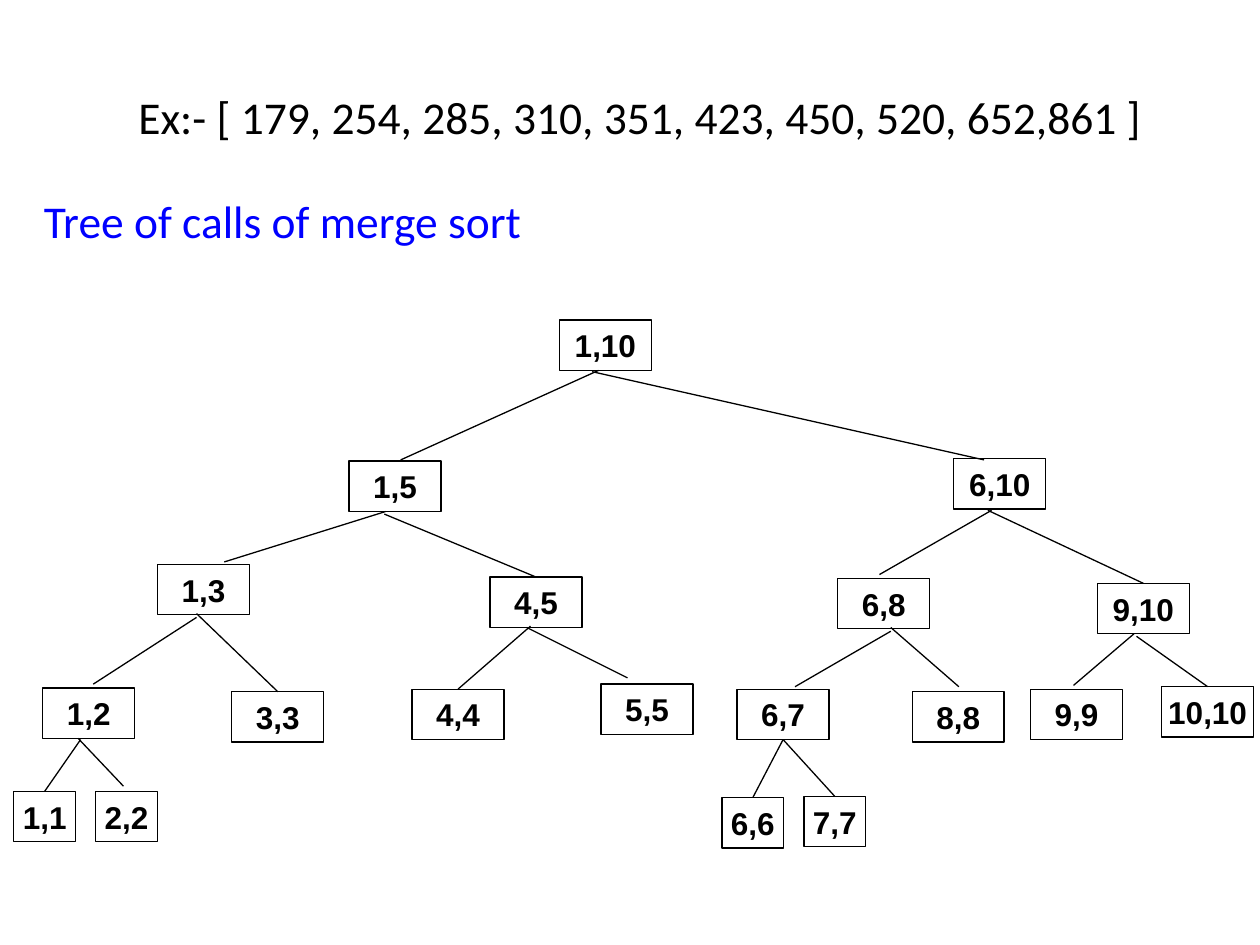
from dataclasses import dataclass
from math import dist

from lxml.etree import SubElement
from pptx import Presentation
from pptx.dml.color import RGBColor
from pptx.enum.shapes import MSO_CONNECTOR, MSO_SHAPE
from pptx.enum.text import MSO_ANCHOR, PP_ALIGN
from pptx.oxml.ns import qn
from pptx.shapes.autoshape import Shape
from pptx.slide import Slide
from pptx.util import Inches, Pt

BLACK = RGBColor(0x00, 0x00, 0x00)
WHITE = RGBColor(0xFF, 0xFF, 0xFF)
BLUE = RGBColor(0x00, 0x00, 0xFF)
WIDE, SMALL, HIGH = 0.73, 0.49, 0.4
NEAR = 0.035
TOP, BOTTOM = 0, 2

Point = tuple[float, float]


@dataclass
class Node:
    label: str
    left: float
    top: float
    width: float = WIDE

    def side(self, site: int) -> Point:
        """Middle of the top or bottom side."""
        return self.left + self.width / 2, self.top + (HIGH if site == BOTTOM else 0)


@dataclass
class Branch:
    upper: str
    lower: str
    start: Point
    end: Point


NODES = [
    Node("1,10", 4.44, 2.54),
    Node("1,5", 2.77, 3.66),
    Node("6,10", 7.57, 3.64),
    Node("1,3", 1.25, 4.48),
    Node("4,5", 3.89, 4.58),
    Node("6,8", 6.65, 4.59),
    Node("9,10", 8.71, 4.63),
    Node("1,2", 0.34, 5.46),
    Node("3,3", 1.84, 5.49),
    Node("4,4", 3.27, 5.47),
    Node("5,5", 4.77, 5.43),
    Node("6,7", 5.85, 5.47),
    Node("8,8", 7.24, 5.49),
    Node("9,9", 8.18, 5.47),
    Node("10,10", 9.22, 5.45),
    Node("1,1", 0.11, 6.28, SMALL),
    Node("2,2", 0.76, 6.28, SMALL),
    Node("6,6", 5.73, 6.33, SMALL),
    Node("7,7", 6.38, 6.32, SMALL),
]

BRANCHES = [
    Branch("1,10", "1,5", (4.75, 2.94), (3.18, 3.65)),
    Branch("1,10", "6,10", (4.7, 2.95), (7.81, 3.65)),
    Branch("1,5", "1,3", (3.06, 4.06), (1.78, 4.46)),
    Branch("1,5", "4,5", (3.05, 4.08), (4.24, 4.55)),
    Branch("6,10", "6,8", (7.87, 4.05), (6.98, 4.56)),
    Branch("6,10", "9,10", (7.84, 4.05), (9.08, 4.62)),
    Branch("1,3", "1,2", (1.56, 4.9), (0.74, 5.43)),
    Branch("1,3", "3,3", (1.56, 4.87), (2.2, 5.46)),
    Branch("6,8", "6,7", (7.07, 5.01), (6.31, 5.45)),
    Branch("6,8", "8,8", (7.07, 4.98), (7.61, 5.45)),
    Branch("4,5", "4,4", (4.21, 4.97), (3.62, 5.44)),
    Branch("4,5", "5,5", (4.18, 4.98), (4.98, 5.38)),
    Branch("9,10", "9,9", (9, 5.03), (8.52, 5.44)),
    Branch("9,10", "10,10", (9.02, 5.05), (9.56, 5.43)),
    Branch("1,2", "1,1", (0.64, 5.87), (0.33, 6.29)),
    Branch("1,2", "2,2", (0.62, 5.86), (0.98, 6.24)),
    Branch("6,7", "6,6", (6.22, 5.87), (5.95, 6.33)),
    Branch("6,7", "7,7", (6.22, 5.87), (6.64, 6.3)),
]


def style(shape: Shape, text: str, font: str, size: int, color: RGBColor,
          bold: bool = False) -> None:
    para = shape.text_frame.paragraphs[0]
    para.text = text
    face = para.runs[0].font
    face.name, face.size, face.bold = font, Pt(size), bold
    face.color.rgb = color


def add_title(slide: Slide) -> None:
    box = slide.shapes.add_textbox(Inches(0.5), Inches(0.3), Inches(9.17), Inches(1.25))
    style(box, "Ex:- [ 179, 254, 285, 310, 351, 423, 450, 520, 652,861 ]",
          "Calibri", 26, BLACK)
    frame = box.text_frame
    frame.word_wrap = True
    frame.vertical_anchor = MSO_ANCHOR.MIDDLE
    frame.paragraphs[0].alignment = PP_ALIGN.CENTER


def add_body(slide: Slide) -> None:
    box = slide.shapes.add_textbox(Inches(0.25), Inches(1.48), Inches(9.52), Inches(5.78))
    style(box, "Tree of calls of merge sort", "Calibri", 26, BLUE)
    box.text_frame.word_wrap = True


def add_node(slide: Slide, node: Node) -> Shape:
    box = slide.shapes.add_shape(
        MSO_SHAPE.RECTANGLE, Inches(node.left), Inches(node.top),
        Inches(node.width), Inches(HIGH))
    box.shadow.inherit = False
    box.fill.solid()
    box.fill.fore_color.rgb = WHITE
    box.line.color.rgb = BLACK
    box.line.width = Pt(0.75)
    style(box, node.label, "Arial", 18, BLACK, bold=True)
    frame = box.text_frame
    frame.word_wrap = False
    frame.vertical_anchor = MSO_ANCHOR.MIDDLE
    frame.paragraphs[0].alignment = PP_ALIGN.CENTER
    return box


def add_branch(slide: Slide, branch: Branch, nodes: dict[str, Node],
               boxes: dict[str, Shape]) -> None:
    """Draw a branch, joined to a box where it meets the middle of a side."""
    line = slide.shapes.add_connector(
        MSO_CONNECTOR.STRAIGHT, *map(Inches, branch.start + branch.end))
    line.line.color.rgb = BLACK
    line.line.width = Pt(0.75)
    SubElement(line.element.spPr, qn("a:effectLst"))
    if dist(branch.start, nodes[branch.upper].side(BOTTOM)) < NEAR:
        line.begin_connect(boxes[branch.upper], BOTTOM)
    if dist(branch.end, nodes[branch.lower].side(TOP)) < NEAR:
        line.end_connect(boxes[branch.lower], TOP)


def main() -> None:
    deck = Presentation()
    deck.slide_width, deck.slide_height = Inches(10), Inches(7.5)
    slide = deck.slides.add_slide(deck.slide_layouts[6])
    add_title(slide)
    add_body(slide)
    nodes = {node.label: node for node in NODES}
    boxes = {node.label: add_node(slide, node) for node in NODES}
    for branch in BRANCHES:
        add_branch(slide, branch, nodes, boxes)
    deck.save("out.pptx")


if __name__ == "__main__":
    main()
